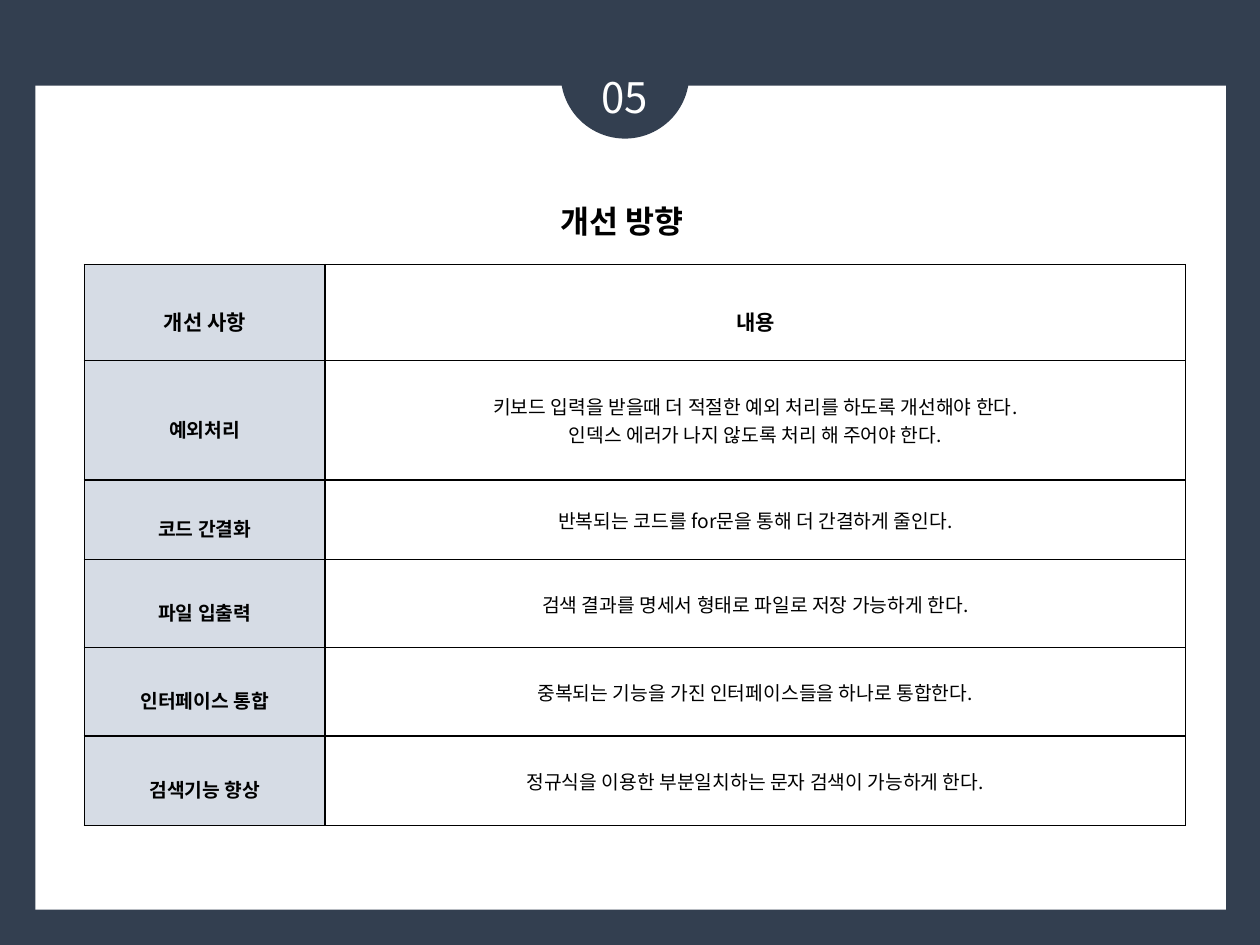
from lxml import etree
from pptx import Presentation
from pptx.dml.color import RGBColor
from pptx.enum.shapes import MSO_SHAPE
from pptx.enum.text import MSO_ANCHOR, MSO_AUTO_SIZE, PP_ALIGN
from pptx.oxml.ns import qn
from pptx.util import Inches, Pt

RECTANGLE, OVAL = MSO_SHAPE.RECTANGLE, MSO_SHAPE.OVAL
MIDDLE, TOP = MSO_ANCHOR.MIDDLE, MSO_ANCHOR.TOP
CENTER = PP_ALIGN.CENTER
FIT_SHAPE = MSO_AUTO_SIZE.SHAPE_TO_FIT_TEXT
NAVY = RGBColor(0x33, 0x3F, 0x50)
PALE = RGBColor(0xD6, 0xDC, 0xE5)
WHITE = RGBColor(0xFF, 0xFF, 0xFF)
BLACK = RGBColor(0, 0, 0)
FONT = "Noto Sans CJK KR"


def add_text(paragraph, text, size, color=BLACK, bold=False):
    paragraph.alignment = CENTER
    run = paragraph.add_run()
    run.text = text
    run.font.size = Pt(size)
    run.font.bold = bold
    run.font.color.rgb = color
    run.font.name = FONT
    etree.SubElement(run._r.get_or_add_rPr(), qn("a:ea"), typeface=FONT)


def add_borders(cell):
    properties = cell._tc.get_or_add_tcPr()
    for index, side in enumerate(("lnL", "lnR", "lnT", "lnB")):
        line = etree.Element(qn(f"a:{side}"), w=str(Pt(1)))
        fill = etree.SubElement(line, qn("a:solidFill"))
        etree.SubElement(fill, qn("a:srgbClr"), val=str(BLACK))
        properties.insert(index, line)


prs = Presentation()
prs.slide_width, prs.slide_height = Inches(10), Inches(7.5)
slide = prs.slides.add_slide(prs.slide_layouts[5])
slide.background.fill.solid()
slide.background.fill.fore_color.rgb = NAVY

for preset, box, color in (
    (RECTANGLE, (0.28, 0.68, 9.45, 6.54), WHITE),
    (OVAL, (4.45, 0.08, 1.02, 1.02), NAVY),
):
    backdrop = slide.shapes.add_shape(preset, *map(Inches, box))
    backdrop.shadow.inherit = False
    backdrop.fill.solid()
    backdrop.fill.fore_color.rgb = color
    backdrop.line.fill.background()

number = slide.shapes.add_textbox(Inches(4.37), Inches(0.52), Inches(1.18), Inches(0.5))
number.text_frame.word_wrap = True
number.text_frame.auto_size = FIT_SHAPE
add_text(number.text_frame.paragraphs[0], "05", 24, WHITE)

title = slide.shapes.title
title.element.getparent().append(title.element)
title.left, title.top = Inches(4.29), Inches(1.55)
title.width, title.height = Inches(1.29), Inches(0.4)
title.text_frame.word_wrap = False
title.text_frame.auto_size = FIT_SHAPE
title.text_frame.vertical_anchor = TOP
add_text(title.text_frame.paragraphs[0], "개선 방향", 18, bold=True)

improvements = [
    ("개선 사항", ["내용"]),
    ("예외처리", ["키보드 입력을 받을때 더 적절한 예외 처리를 하도록 개선해야 한다.",
              "인덱스 에러가 나지 않도록 처리 해 주어야 한다."]),
    ("코드 간결화", ["반복되는 코드를 for문을 통해 더 간결하게 줄인다."]),
    ("파일 입출력", ["검색 결과를 명세서 형태로 파일로 저장 가능하게 한다."]),
    ("인터페이스 통합", ["중복되는 기능을 가진 인터페이스들을 하나로 통합한다."]),
    ("검색기능 향상", ["정규식을 이용한 부분일치하는 문자 검색이 가능하게 한다."]),
]
column_widths = [1.91, 6.83]
row_heights = [0.76, 0.95, 0.63, 0.7, 0.7, 0.71]
table = slide.shapes.add_table(
    len(improvements), 2, Inches(0.67), Inches(2.1),
    Inches(sum(column_widths)), Inches(sum(row_heights)),
).table
table.first_row = table.horz_banding = False
for column, width in zip(table.columns, column_widths):
    column.width = Inches(width)

for row_index, (topic, details) in enumerate(improvements):
    table.rows[row_index].height = Inches(row_heights[row_index])
    for column_index, lines in enumerate(([topic], details)):
        cell = table.cell(row_index, column_index)
        cell.vertical_anchor = MIDDLE
        cell.margin_left = cell.margin_right = Inches(0.05)
        cell.margin_top = cell.margin_bottom = Inches(0.01)
        if column_index == 0:
            cell.fill.solid()
            cell.fill.fore_color.rgb = PALE
        else:
            cell.fill.background()
        add_borders(cell)
        heading = row_index == 0 or column_index == 0
        for line_index, text in enumerate(lines):
            frame = cell.text_frame
            paragraph = frame.add_paragraph() if line_index else frame.paragraphs[0]
            if heading:
                paragraph.line_spacing = 1.6
            add_text(paragraph, text, 12 if row_index == 0 else 11, bold=heading)

prs.save("out.pptx")
